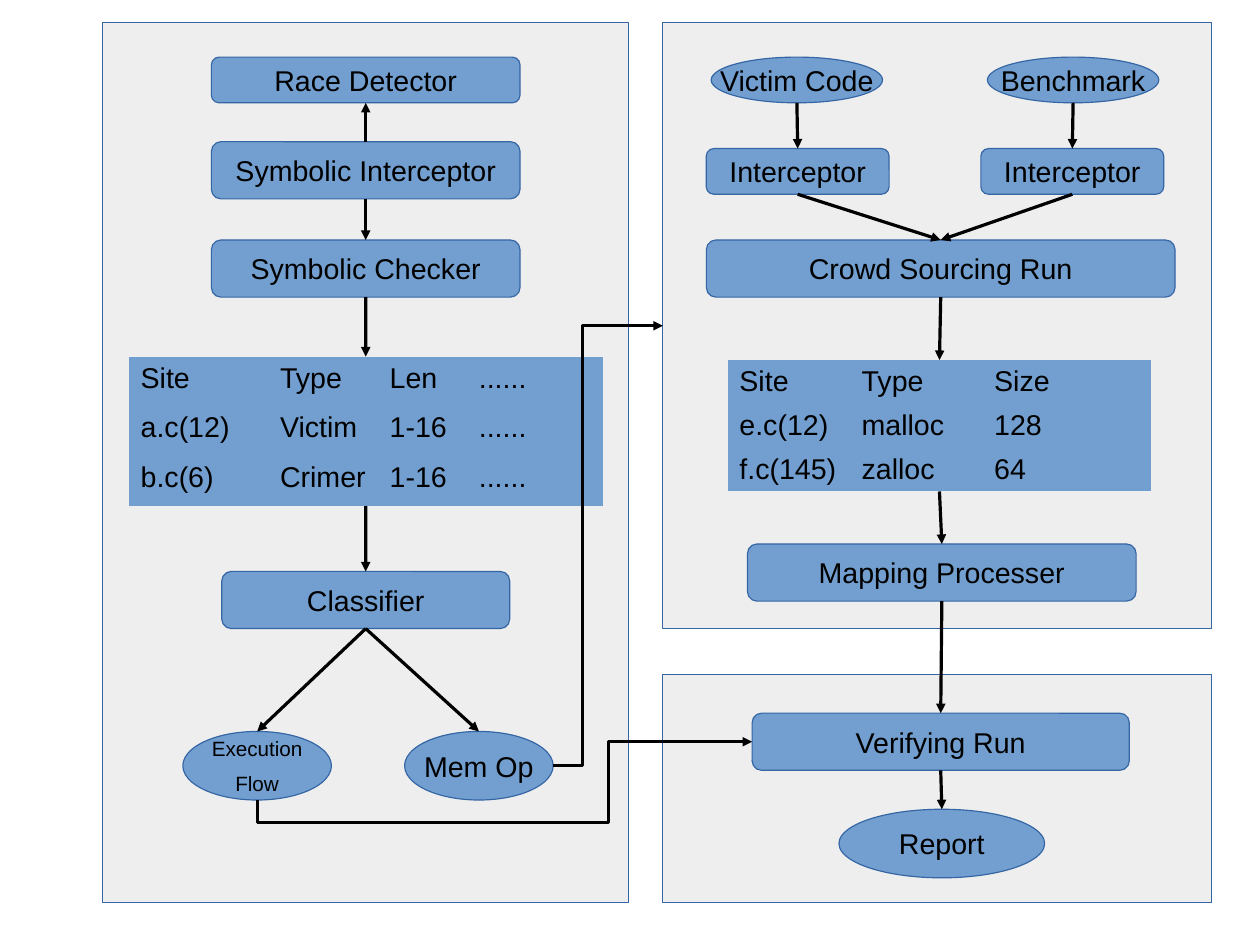
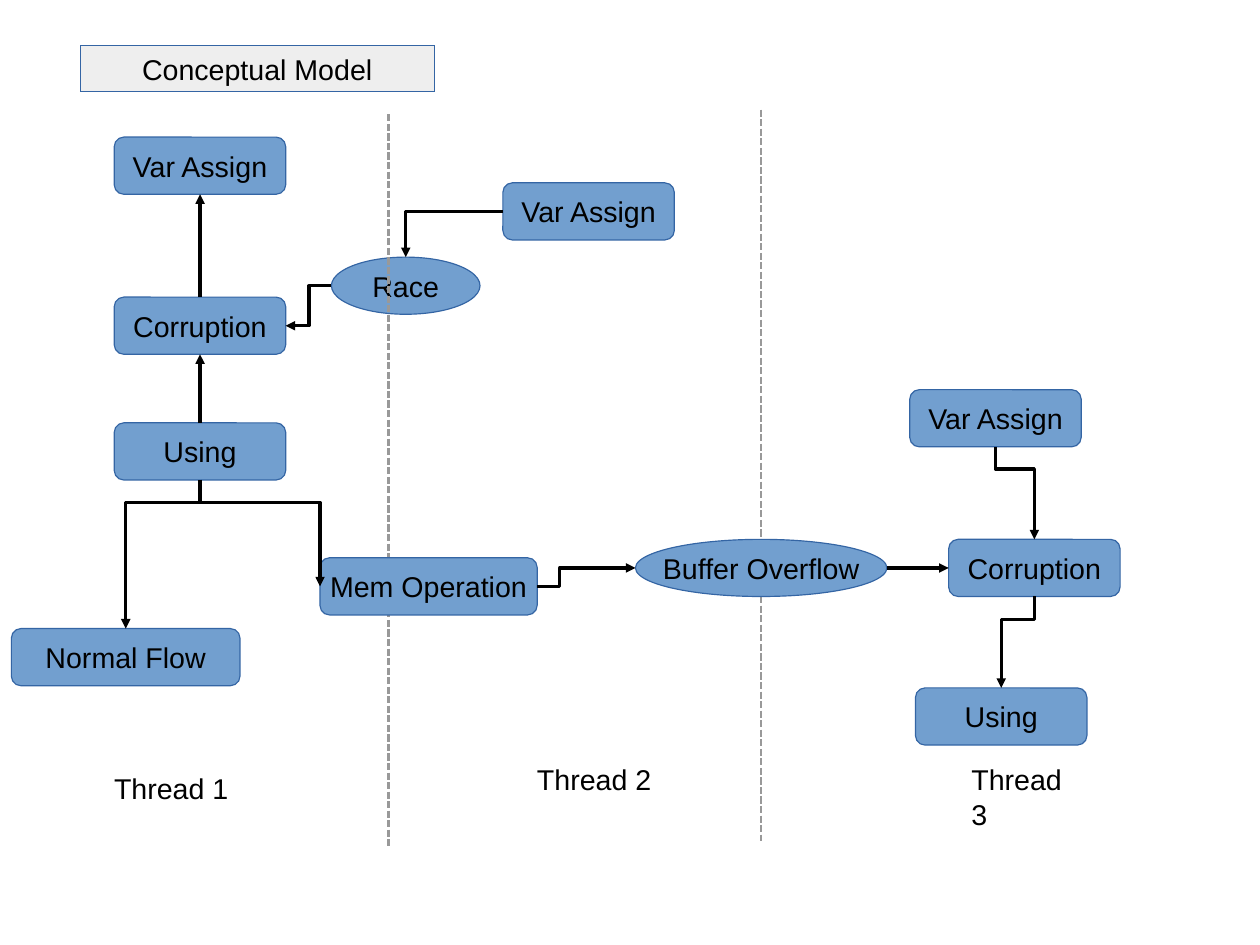
from lxml.etree import SubElement
from pptx import Presentation
from pptx.dml.color import RGBColor
from pptx.enum.dml import MSO_LINE
from pptx.enum.shapes import MSO_CONNECTOR as Wire, MSO_SHAPE as Kind
from pptx.enum.text import MSO_ANCHOR as Anchor, MSO_AUTO_SIZE as Auto, PP_ALIGN as Align
from pptx.oxml.ns import qn
from pptx.util import Pt

rgb = RGBColor.from_string
BLUE, EDGE, GREY, BLACK, DASH = "729FCF", "3465A4", "EEEEEE", "000000", "999999"
FONT, SIZE = "Arial", 18
PLAIN = "{2D5ABB26-0587-4C30-8999-92F81FD0307C}"
ROUND, OVAL, RECT = Kind.ROUNDED_RECTANGLE, Kind.OVAL, Kind.RECTANGLE
TOP, LEFT, DOWN, RIGHT = range(4)


def draw(page, rows):
    made = {}
    for key, text, kind, mid, top, wide, high in rows:
        area = [Pt(n) for n in (mid - wide / 2, top, wide, high)]
        if key == "title":
            shape = page.shapes.title
            shape.left, shape.top, shape.width, shape.height = area
        else:
            shape = page.shapes.add_shape(kind, *area)
            shape.shadow.inherit = False
        shape.fill.solid()
        shape.fill.fore_color.rgb = rgb(GREY if kind == RECT else BLUE)
        shape.line.color.rgb = rgb(EDGE)
        shape.line.width = Pt(0)
        made[key] = shape
        if not text:
            continue
        frame = shape.text_frame
        frame.text = text
        frame.word_wrap = False
        frame.auto_size = Auto.NONE
        frame.vertical_anchor = Anchor.MIDDLE
        for i, para in enumerate(frame.paragraphs):
            para.alignment = Align.CENTER
            para.space_before = Pt(6 if i else 0)
            para.font.name = FONT
            para.font.size = Pt(13 if key == "flow" else SIZE)
            para.font.color.rgb = rgb(BLACK)
    return made


def link(page, start, out, end, into, form="line", bends=(), color=BLACK, thick=0):
    wire = page.shapes.add_connector(
        Wire.STRAIGHT if form == "line" else Wire.ELBOW, 0, 0, 0, 0)
    if isinstance(start, tuple):
        wire.begin_x, wire.begin_y = [Pt(n) for n in start]
    else:
        wire.begin_connect(start, out)
        if start.auto_shape_type == OVAL:
            wire.element.find(".//" + qn("a:stCxn")).set("idx", str(out * 2))
    if isinstance(end, tuple):
        wire.end_x, wire.end_y = [Pt(n) for n in end]
    else:
        wire.end_connect(end, into)
        if end.auto_shape_type == OVAL:
            wire.element.find(".//" + qn("a:endCxn")).set("idx", str(into * 2))
    wire.line.color.rgb = rgb(color)
    wire.line.width = Pt(thick)
    props = wire.element.spPr
    if form != "line":
        geom = props.find(qn("a:prstGeom"))
        geom.set("prst", form)
        for i, bend in enumerate(bends, 1):
            SubElement(geom.find(qn("a:avLst")), qn("a:gd"),
                       name=f"adj{i}", fmla=f"val {round(bend * 100000)}")
        if out in (TOP, DOWN):
            right, up = wire.end_x > wire.begin_x, wire.end_y < wire.begin_y
            x, y, wide, high = wire.left, wire.top, wire.width, wire.height
            wire.left, wire.top = x + (wide - high) // 2, y + (high - wide) // 2
            wire.width, wire.height = high, wide
            turn = props.find(qn("a:xfrm"))
            turn.set("rot", "5400000")
            turn.set("flipH", str(int(up)))
            turn.set("flipV", str(int(right)))
    if not thick:
        SubElement(props.find(qn("a:ln")), qn("a:tailEnd"), type="triangle")
    SubElement(props, qn("a:effectLst"))
    return wire


deck = Presentation()
deck.slide_width, deck.slide_height = Pt(793.7), Pt(595.3)

page = deck.slides.add_slide(deck.slide_layouts[6])
at = draw(page, [
    ("left", "", RECT, 230.4, 14.4, 331.2, 554.4),
    ("crowd", "", RECT, 590.4, 14.4, 345.6, 381.6),
    ("check", "", RECT, 590.4, 424.8, 345.6, 144),
    ("race", "Race Detector", ROUND, 230.4, 36, 194.4, 28.8),
    ("sym", "Symbolic Interceptor", ROUND, 230.4, 89.3, 194.4, 36),
    ("test", "Symbolic Checker", ROUND, 230.4, 151.2, 194.4, 36),
    ("class", "Classifier", ROUND, 230.4, 360, 181.4, 36),
    ("flow", "Execution\nFlow", OVAL, 162, 460.8, 93.6, 43.2),
    ("mem", "Mem Op", OVAL, 301.7, 460.8, 93.6, 43.2),
    ("code", "Victim Code", OVAL, 502, 36, 108, 28.8),
    ("bench", "Benchmark", OVAL, 676, 36, 108, 28.8),
    ("hook1", "Interceptor", ROUND, 502.5, 93.6, 115.2, 28.8),
    ("hook2", "Interceptor", ROUND, 675.5, 93.6, 115.2, 28.8),
    ("run", "Crowd Sourcing Run", ROUND, 592.6, 151.2, 295.2, 36),
    ("map", "Mapping Processer", ROUND, 593.3, 342.7, 244.8, 36),
    ("prove", "Verifying Run", ROUND, 592.6, 449.3, 237.6, 36),
    ("end", "Report", OVAL, 593.3, 509.8, 129.6, 43.2),
])

for x, y, cols, high, lines in (
    (81.4, 224.6, (87.8, 69.1, 56.2, 85.7), 31.4,
     (("Site", "Type", "Len", "......"),
      ("a.c(12)", "Victim", "1-16", "......"),
      ("b.c(6)", "Crimer", "1-16", "......"))),
    (458.6, 226.8, (77, 83.5, 105.9), 27.6,
     (("Site", "Type", "Size"),
      ("e.c(12)", "malloc", "128"),
      ("f.c(145)", "zalloc", "64"))),
):
    frame = page.shapes.add_table(
        len(lines), len(cols), Pt(x), Pt(y), Pt(sum(cols)), Pt(high * len(lines)))
    frame.element.find(".//" + qn("a:tableStyleId")).text = PLAIN
    table = frame.table
    table.first_row = table.horz_banding = False
    for col, wide in zip(table.columns, cols):
        col.width = Pt(wide)
    for row, words in zip(table.rows, lines):
        row.height = Pt(high)
        for cell, word in zip(row.cells, words):
            cell.text = word
            cell.fill.solid()
            cell.fill.fore_color.rgb = rgb(BLUE)
            cell.margin_left = cell.margin_right = Pt(7.2)
            cell.margin_top = cell.margin_bottom = Pt(3.6)
            font = cell.text_frame.paragraphs[0].font
            font.name, font.size = FONT, Pt(SIZE)
            font.color.rgb = rgb(BLACK)

for start, end in (
    ("sym", "test"), ("class", "flow"), ("class", "mem"),
    ("code", "hook1"), ("bench", "hook2"), ("hook1", "run"),
    ("hook2", "run"), ("map", "prove"), ("prove", "end"),
):
    link(page, at[start], DOWN, at[end], TOP)
link(page, at["sym"], TOP, at["race"], DOWN)
link(page, at["test"], DOWN, (230.4, 224.6), TOP)
link(page, (230.4, 318.8), DOWN, at["class"], TOP)
link(page, at["run"], DOWN, (591.8, 226.8), TOP)
link(page, (591.8, 309.6), DOWN, at["map"], TOP)
link(page, at["flow"], DOWN, at["prove"], LEFT, "bentConnector4", (-0.39, 0.71))
link(page, at["mem"], RIGHT, at["crowd"], LEFT, "bentConnector3", (0.27,))

page = deck.slides.add_slide(deck.slide_layouts[5])
at = draw(page, [
    ("title", "Conceptual Model", RECT, 162, 28.8, 223.2, 28.8),
    ("set1", "Var Assign", ROUND, 126, 86.4, 108, 36),
    ("bad1", "Corruption", ROUND, 126, 187.2, 108, 36),
    ("use1", "Using", ROUND, 126, 266.4, 108, 36),
    ("norm", "Normal Flow", ROUND, 79.2, 396, 144, 36),
    ("race", "Race", OVAL, 255.6, 162, 93.6, 36),
])
for x, y in ((244.8, 72), (479.5, 69.1)):
    wall = link(page, (x, y), DOWN, (x, y + 460.8), TOP, color=DASH, thick=1.5)
    wall.line.dash_style = MSO_LINE.SQUARE_DOT
at |= draw(page, [
    ("set2", "Var Assign", ROUND, 370.8, 115.2, 108, 36),
    ("mem", "Mem Operation", ROUND, 270, 351.4, 136.8, 36),
    ("over", "Buffer Overflow", OVAL, 479.5, 339.8, 158.4, 36),
    ("set3", "Var Assign", ROUND, 627.1, 245.5, 108, 36),
    ("bad3", "Corruption", ROUND, 651.6, 339.8, 108, 36),
    ("use3", "Using", ROUND, 630.7, 433.4, 108, 36),
])

link(page, at["bad1"], TOP, at["set1"], DOWN)
link(page, at["use1"], TOP, at["bad1"], DOWN)
link(page, at["over"], RIGHT, at["bad3"], LEFT)
link(page, at["set2"], LEFT, at["race"], TOP, "bentConnector2")
link(page, at["use1"], DOWN, (201.6, 369.4), TOP, "bentConnector3", (0.21,))
for start, out, end, into, bend in (
    ("use1", DOWN, "norm", TOP, 0.15),
    ("race", LEFT, "bad1", RIGHT, 0.49),
    ("mem", RIGHT, "over", LEFT, 0.23),
    ("set3", DOWN, "bad3", TOP, 0.24),
    ("bad3", DOWN, "use3", TOP, 0.25),
):
    link(page, at[start], out, at[end], into, "bentConnector3", (bend,))

for text, x, y, wide in (
    ("Thread 1", 64.8, 482.4, 100),
    ("Thread 2", 331.2, 476.6, 100),
    ("Thread 3", 604.8, 476.6, 84),
):
    note = page.shapes.add_textbox(Pt(x), Pt(y), Pt(wide), Pt(27.4)).text_frame
    note.word_wrap = True
    note.text = text
    font = note.paragraphs[0].font
    font.name, font.size = FONT, Pt(SIZE)
    font.color.rgb = rgb(BLACK)

deck.save("out.pptx")
